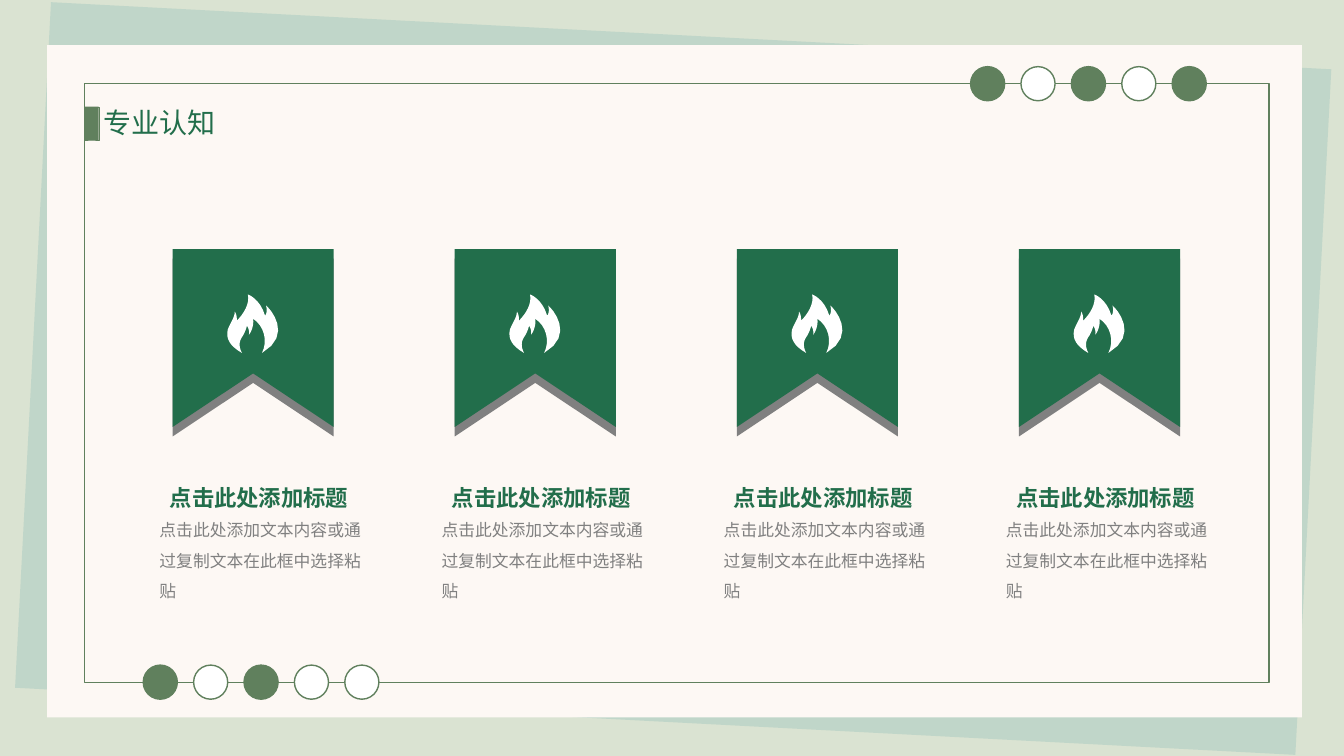
from pptx import Presentation
from pptx.dml.color import RGBColor
from pptx.enum.shapes import MSO_SHAPE
from pptx.enum.text import MSO_ANCHOR, MSO_AUTO_SIZE, PP_ALIGN
from pptx.util import Cm, Pt

RECT, OVAL = MSO_SHAPE.RECTANGLE, MSO_SHAPE.OVAL
LEFT, CENTER, JUSTIFY = PP_ALIGN.LEFT, PP_ALIGN.CENTER, PP_ALIGN.JUSTIFY
TOP, MIDDLE = MSO_ANCHOR.TOP, MSO_ANCHOR.MIDDLE
GROW = MSO_AUTO_SIZE.SHAPE_TO_FIT_TEXT

FONT = "Calibri"
SAGE, MINT, CREAM = "DAE3D2", "C0D6C9", "FDF8F4"
MOSS, GREEN, GRAY, WHITE = "60805D", "226E4B", "808080", "FFFFFF"

# Columns, in cm
COLUMNS, PITCH = 4, 7.11
HEADING = "点击此处添加标题"
BODY = "点击此处添加文本内容或通过复制文本在此框中选择粘贴"

# Flame outline: a start point, then cubic curves (two controls and an end)
FLAME_UNIT = 0.0254
FLAME_START = (16, 58)
FLAME_CURVES = [
    ((12, 50), (14, 45), (17, 41)),
    ((20, 36), (21, 31), (21, 31)),
    ((21, 31), (24, 35), (23, 40)),
    ((27, 35), (28, 27), (27, 24)),
    ((38, 31), (42, 46), (36, 58)),
    ((67, 40), (44, 14), (40, 11)),
    ((41, 14), (41, 19), (39, 21)),
    ((34, 4), (22, 0), (22, 0)),
    ((24, 9), (18, 19), (11, 26)),
    ((11, 23), (11, 20), (9, 17)),
    ((9, 23), (4, 29), (2, 35)),
    ((0, 44), (4, 51), (16, 58)),
]


def rgb(color):
    return RGBColor.from_string(color)


def paint(sp, fill=None, line=None, width=1):
    sp.shadow.inherit = False
    if fill:
        sp.fill.solid()
        sp.fill.fore_color.rgb = rgb(fill)
    else:
        sp.fill.background()
    if line:
        sp.line.color.rgb = rgb(line)
        sp.line.width = Pt(width)
    else:
        sp.line.fill.background()


def add_preset(s, kind, x, y, w, h, fill=None, line=None, width=1):
    sp = s.shapes.add_shape(kind, Cm(x), Cm(y), Cm(w), Cm(h))
    paint(sp, fill, line, width)
    return sp


def add_outline(s, points, fill):
    points = [(Cm(x), Cm(y)) for x, y in points]
    builder = s.shapes.build_freeform(*points[0])
    builder.add_line_segments(points[1:], close=True)
    paint(builder.convert_to_shape(), fill)


def add_text(s, x, y, w, h, text, size, color, align=LEFT, anchor=TOP,
             bold=False, spacing=None, inset=True):
    sp = s.shapes.add_textbox(Cm(x), Cm(y), Cm(w), Cm(h))
    tf = sp.text_frame
    tf.word_wrap = True
    tf.auto_size = GROW
    tf.vertical_anchor = anchor
    if not inset:
        tf.margin_left = tf.margin_top = tf.margin_right = tf.margin_bottom = 0
    p = tf.paragraphs[0]
    p.alignment = align
    if spacing:
        p.line_spacing = spacing
    r = p.add_run()
    r.text = text
    r.font.name = FONT
    r.font.size = Pt(size)
    r.font.bold = bold
    r.font.color.rgb = rgb(color)


def add_dots(s, x, y, fills):
    for i, fill in enumerate(fills):
        add_preset(s, OVAL, x + i * 1.27, y, 0.86, 0.86, fill, MOSS)


def add_ribbon(s, x, y, fill):
    w, h, notch = 4.06, 4.48, 3.13
    add_outline(s, [(x, y), (x + w, y), (x + w, y + h),
                    (x + w / 2, y + notch), (x, y + h)], fill)


def flame_points(steps=8):
    points = [FLAME_START]
    for b, c, d in FLAME_CURVES:
        a = points[-1]
        for i in range(1, steps + 1):
            t = i / steps
            u = 1 - t
            weights = (u ** 3, 3 * u * u * t, 3 * u * t * t, t ** 3)
            points.append(tuple(
                sum(k * v for k, v in zip(weights, axis))
                for axis in zip(a, b, c, d)))
    return points


def add_flame(s, x, y):
    add_outline(s, [(x + px * FLAME_UNIT, y + py * FLAME_UNIT)
                    for px, py in flame_points()], WHITE)


def add_column(s, dx):
    add_ribbon(s, 4.35 + dx, 6.52, GRAY)
    add_ribbon(s, 4.35 + dx, 6.28, GREEN)
    add_flame(s, 5.69 + dx, 7.42)
    add_text(s, 4.02 + dx, 12.85, 5.32, 2.21, BODY, 12, GRAY,
             spacing=1.5, inset=False)
    add_text(s, 3.87 + dx, 12.19, 5.32, 0.69, HEADING, 16, GREEN,
             align=CENTER, anchor=MIDDLE, bold=True, inset=False)


def main():
    prs = Presentation()
    prs.slide_width, prs.slide_height = Cm(33.87), Cm(19.05)
    s = prs.slides.add_slide(prs.slide_layouts[6])
    s.background.fill.solid()
    s.background.fill.fore_color.rgb = rgb(SAGE)

    # Tilted backing, panel and frame
    add_preset(s, RECT, 0.81, 0.89, 32.31, 17.3, MINT).rotation = 3
    add_preset(s, RECT, 1.19, 1.14, 31.62, 16.94, CREAM)
    add_preset(s, RECT, 2.13, 2.11, 29.85, 15.09, line=MOSS)

    # Dots on the frame
    add_dots(s, 24.46, 1.68, [MOSS, WHITE, MOSS, WHITE, MOSS])
    add_dots(s, 3.61, 16.76, [MOSS, WHITE, MOSS, WHITE, WHITE])

    # Slide title with its tab
    add_text(s, 2.36, 2.54, 4.32, 1.12, "专业认知", 20, GREEN, align=JUSTIFY)
    add_preset(s, RECT, 2.13, 2.69, 0.36, 0.84, MOSS, MOSS, 0.25)

    # Ribbon columns
    for i in range(COLUMNS):
        add_column(s, i * PITCH)

    prs.save("out.pptx")


if __name__ == "__main__":
    main()
